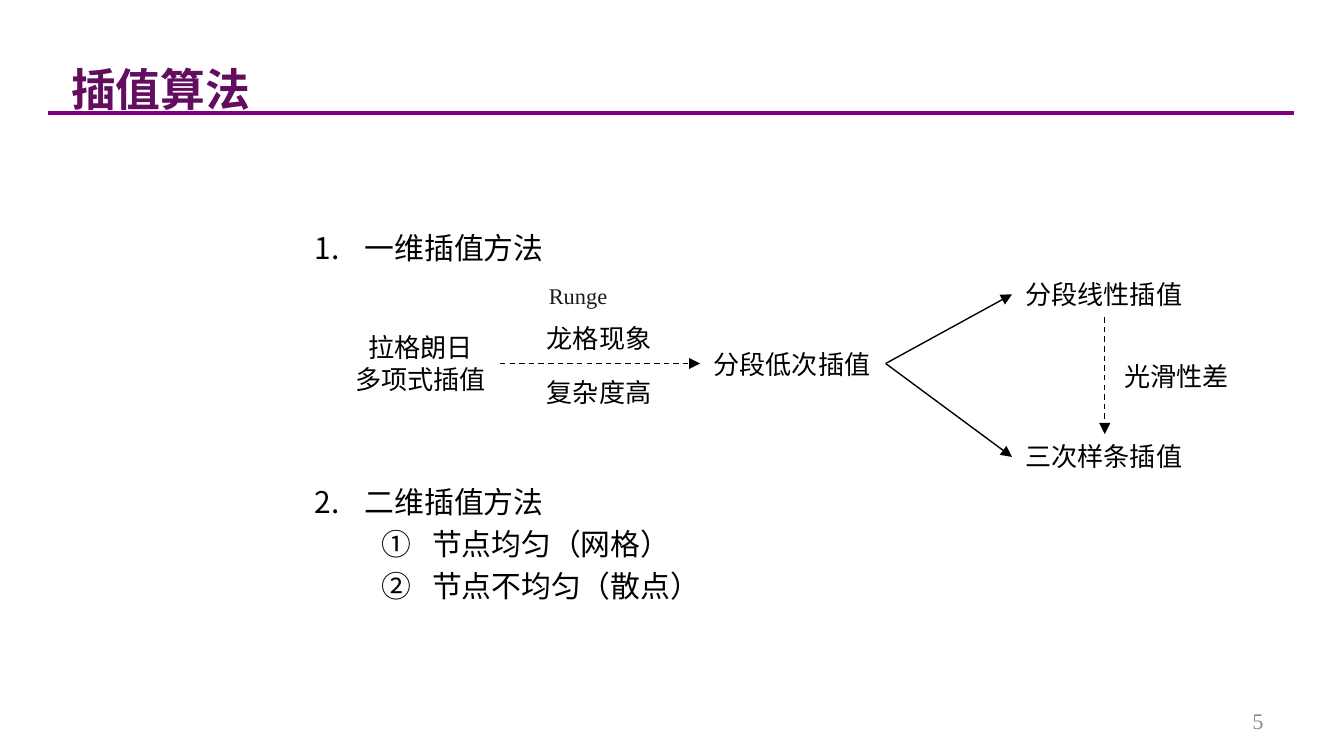
from lxml.etree import SubElement
from pptx import Presentation
from pptx.dml.color import RGBColor
from pptx.enum.dml import MSO_LINE
from pptx.enum.shapes import MSO_CONNECTOR
from pptx.enum.text import MSO_ANCHOR, MSO_AUTO_SIZE, PP_ALIGN
from pptx.oxml.ns import qn
from pptx.util import Pt

PX = 4572
SERIF = "Times New Roman"
BLACK = "000000"
METHODS = [
    ("一维插值方法", 0, 0),
    ("二维插值方法", 0, 119),
    ("节点均匀（网格）", 1, 5),
    ("节点不均匀（散点）", 1, 5),
]
LABELS = [
    ("拉格朗日\n多项式插值", (508, 484, 236, 114), PP_ALIGN.CENTER),
    ("分段低次插值", (1042, 508, 276, 68), PP_ALIGN.LEFT),
    ("龙格现象", (794, 470, 198, 68), PP_ALIGN.LEFT),
    ("复杂度高", (794, 550, 198, 68), PP_ALIGN.LEFT),
    ("分段线性插值", (1506, 405, 276, 68), PP_ALIGN.LEFT),
    ("三次样条插值", (1506, 646, 276, 68), PP_ALIGN.LEFT),
    ("光滑性差", (1653, 526, 198, 68), PP_ALIGN.LEFT),
]
ARROWS = [
    ((744, 541), (1042, 541), True),
    ((1318, 541), (1506, 438), False),
    ((1318, 541), (1506, 680), False),
    ((1644, 472), (1644, 646), True),
]


def rgb(hex_code):
    """Turn a hex string into a colour."""
    return RGBColor.from_string(hex_code)


def place(shape, box):
    """Move and size a shape to a box in px."""
    shape.left, shape.top, shape.width, shape.height = (v * PX for v in box)


def style(paragraph, size, colour, face, bold=False):
    """Format every run of a paragraph."""
    for run in paragraph.runs:
        run.font.size = Pt(size)
        run.font.name = face
        run.font.bold = bold
        run.font.color.rgb = rgb(colour)


def fill_title(title):
    """Write the heading in the title placeholder."""
    place(title, (86, 42, 804, 126))
    frame = title.text_frame
    frame.text = "插值算法"
    frame.auto_size = MSO_AUTO_SIZE.NONE
    frame.vertical_anchor = MSO_ANCHOR.TOP
    heading = frame.paragraphs[0]
    heading.alignment = PP_ALIGN.LEFT
    heading.line_spacing = 1.5
    style(heading, 24, "630D5F", SERIF, bold=True)


def number(paragraph, level):
    """Give a paragraph the hanging number of its level."""
    properties = paragraph._p.get_or_add_pPr()
    properties.set("marL", str((75 + 100 * level) * PX))
    properties.set("indent", str(-75 * PX))
    scheme = ("arabicPeriod", "circleNumDbPlain")[level]
    SubElement(properties, qn("a:buFont"), typeface="+mj-lt")
    SubElement(properties, qn("a:buAutoNum"), type=scheme)


def fill_methods(body):
    """Write the numbered list in the body placeholder."""
    place(body, (448, 264, 1040, 718))
    frame = body.text_frame
    frame.text = "\n".join(text for text, _, _ in METHODS)
    frame.auto_size = MSO_AUTO_SIZE.NONE
    frame.vertical_anchor = MSO_ANCHOR.MIDDLE
    for paragraph, (_, level, gap) in zip(frame.paragraphs, METHODS):
        paragraph.level = level
        paragraph.line_spacing = 0.9
        paragraph.space_before = Pt(gap)
        number(paragraph, level)
        style(paragraph, 16, BLACK, SERIF)


def add_label(slide, text, box, align=PP_ALIGN.LEFT, size=14, colour=BLACK,
              face="Calibri", wrap=False):
    """Add a text box and return its frame."""
    frame = slide.shapes.add_textbox(*(v * PX for v in box)).text_frame
    frame.text = text
    frame.word_wrap = wrap
    frame.auto_size = MSO_AUTO_SIZE.SHAPE_TO_FIT_TEXT
    for paragraph in frame.paragraphs:
        paragraph.alignment = align
        style(paragraph, size, colour, face)
    return frame


def add_line(slide, start, end, colour, width):
    """Add a straight line without shadow."""
    ends = (v * PX for v in start + end)
    connector = slide.shapes.add_connector(MSO_CONNECTOR.STRAIGHT, *ends)
    connector.line.color.rgb = rgb(colour)
    connector.line.width = Pt(width)
    SubElement(connector._element.spPr, qn("a:effectLst"))
    return connector.line


def add_arrow(slide, start, end, dashed):
    """Add a thin arrow, dashed for a drawback that leads onward."""
    line = add_line(slide, start, end, BLACK, 0.75)
    if dashed:
        line.dash_style = MSO_LINE.DASH
    SubElement(line._get_or_add_ln(), qn("a:tailEnd"), type="triangle")


def main():
    """Build the slide on interpolation methods."""
    deck = Presentation()
    deck.slide_width, deck.slide_height = 2000 * PX, 1125 * PX
    slide = deck.slides.add_slide(deck.slide_layouts[1])
    add_line(slide, (71, 168), (1926, 168), "800080", 2.25)
    fill_title(slide.shapes.title)
    fill_methods(slide.placeholders[1])
    for text, box, align in LABELS:
        add_label(slide, text, box, align)
    for start, end, dashed in ARROWS:
        add_arrow(slide, start, end, dashed)
    add_label(slide, "Runge", (797, 410, 142, 60), size=12, colour="191B1F",
              face=SERIF, wrap=True)
    page = add_label(slide, "5", (1434, 1043, 466, 60), PP_ALIGN.RIGHT, 12,
                     "8C8C8C", SERIF, wrap=True)
    page.vertical_anchor = MSO_ANCHOR.MIDDLE
    deck.save("out.pptx")


if __name__ == "__main__":
    main()
